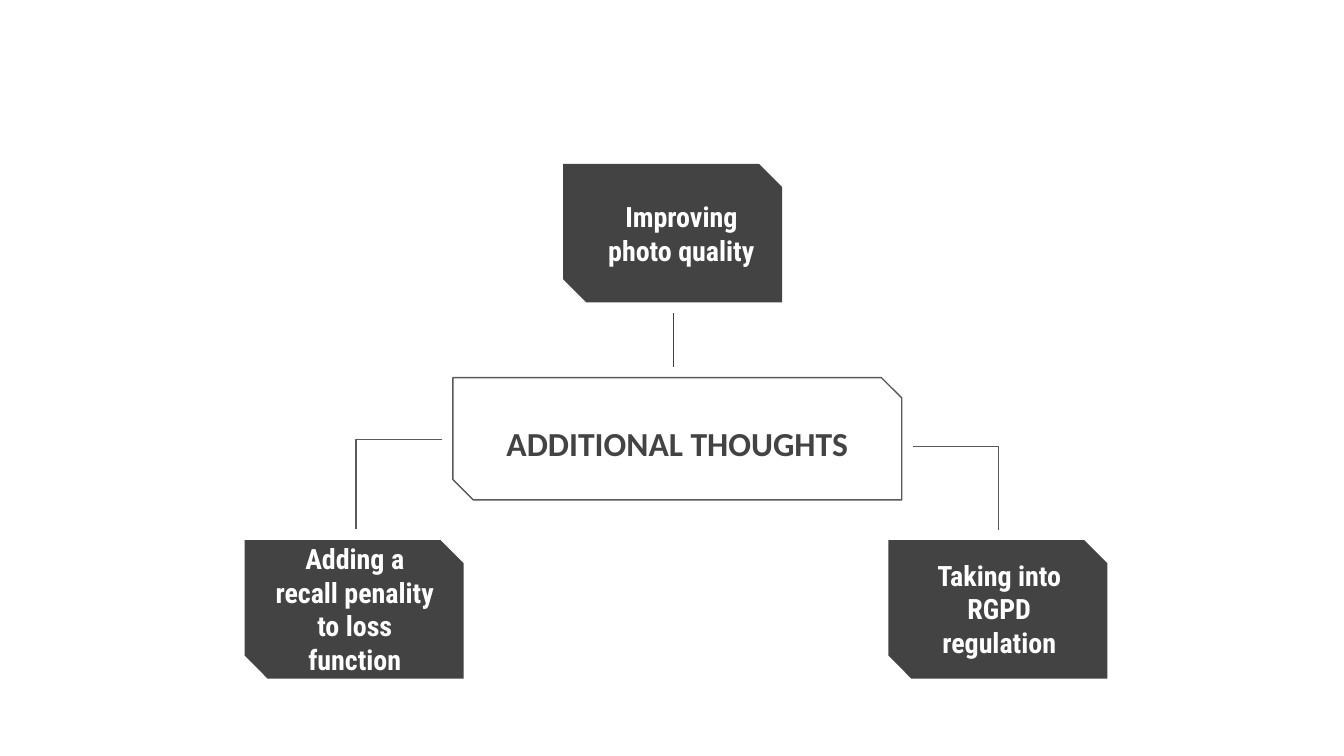
"""Build the additional thoughts slide: a central title with three linked ideas."""
from dataclasses import dataclass

from lxml import etree
from pptx import Presentation
from pptx.dml.color import RGBColor
from pptx.enum.shapes import MSO_CONNECTOR, MSO_SHAPE
from pptx.enum.text import MSO_ANCHOR, MSO_AUTO_SIZE, PP_ALIGN
from pptx.oxml.ns import qn
from pptx.util import Inches, Pt

SNIP = MSO_SHAPE.SNIP_2_DIAG_RECTANGLE
STRAIGHT, ELBOW = MSO_CONNECTOR.STRAIGHT, MSO_CONNECTOR.ELBOW
MIDDLE, BOTTOM = MSO_ANCHOR.MIDDLE, MSO_ANCHOR.BOTTOM
NO_FIT, CENTER = MSO_AUTO_SIZE.NONE, PP_ALIGN.CENTER

DARK, GRAY, WHITE = "434343", "595959", "FFFFFF"
CARD_W, CARD_H = 1.63, 1.03
Box = tuple[float, float, float, float]


@dataclass
class Idea:
    """A dark card with its text area."""
    text: str
    left: float
    top: float
    text_box: Box


@dataclass
class Link:
    """A line from the title frame to a card."""
    kind: int
    start: tuple[float, float]
    end: tuple[float, float]
    color: str


IDEAS = [
    Idea("Adding a recall penality to loss function", 1.82, 4.02, (1.92, 4.08, 1.44, 0.9)),
    Idea("Taking into RGPD regulation", 6.61, 4.02, (6.73, 4.08, 1.41, 0.9)),
    Idea("Improving photo quality", 4.19, 1.22, (4.32, 1.31, 1.5, 0.85)),
]
LINKS = [
    Link(STRAIGHT, (5.01, 2.33), (5.01, 2.73), DARK),
    Link(ELBOW, (3.29, 3.27), (2.65, 3.94), GRAY),
    Link(ELBOW, (6.79, 3.32), (7.43, 3.94), GRAY),
]


def rgb(color: str) -> RGBColor:
    """Turn a hex string into a colour."""
    return RGBColor.from_string(color)


def add_snip(s, box: Box, fill: str | None, line: str | None) -> None:
    """Draw a rectangle with two opposite corners cut."""
    sp = s.shapes.add_shape(SNIP, *map(Inches, box))
    sp.shadow.inherit = False
    sp.adjustments[0], sp.adjustments[1] = 0, 0.167
    if fill:
        sp.fill.solid()
        sp.fill.fore_color.rgb = rgb(fill)
    else:
        sp.fill.background()
    if line:
        sp.line.color.rgb = rgb(line)
        sp.line.width = Pt(0.75)
    else:
        sp.line.fill.background()


def write(sp, text: str, font: str, size: int, color: str, anchor: MSO_ANCHOR) -> None:
    """Put one centred bold run into a shape."""
    tf = sp.text_frame
    tf.word_wrap = True
    tf.auto_size = NO_FIT
    tf.vertical_anchor = anchor
    tf.margin_left = tf.margin_right = tf.margin_top = tf.margin_bottom = Inches(0.1)
    p = tf.paragraphs[0]
    p.alignment = CENTER
    r = p.add_run()
    r.text = text
    r.font.name = font
    r.font.size = Pt(size)
    r.font.bold = True
    r.font.color.rgb = rgb(color)


def add_idea(s, idea: Idea) -> None:
    """Draw a card and its text."""
    add_snip(s, (idea.left, idea.top, CARD_W, CARD_H), DARK, None)
    sp = s.shapes.add_textbox(*map(Inches, idea.text_box))
    write(sp, idea.text, "Roboto Condensed", 15, WHITE, MIDDLE)


def add_link(s, link: Link) -> None:
    """Draw a line, with an elbow's corner right above its end."""
    cxn = s.shapes.add_connector(link.kind, *map(Inches, link.start + link.end))
    cxn.line.color.rgb = rgb(link.color)
    cxn.line.width = Pt(0.75)
    sp_pr = cxn._element.spPr
    etree.SubElement(sp_pr, qn("a:effectLst"))
    if link.kind == ELBOW:
        geom = sp_pr.find(qn("a:prstGeom"))
        guides = geom.find(qn("a:avLst"))
        if guides is None:
            guides = etree.SubElement(geom, qn("a:avLst"))
        etree.SubElement(guides, qn("a:gd"), name="adj1", fmla="val 100000")


def place_title(s) -> None:
    """Move the title into the central frame."""
    sp = s.shapes.title
    sp.left, sp.top, sp.width, sp.height = map(Inches, (3.37, 3.12, 3.34, 0.43))
    write(sp, "ADDITIONAL THOUGHTS", "Calibri", 18, DARK, BOTTOM)


def main() -> None:
    """Build and save the slide."""
    prs = Presentation()
    prs.slide_width = Inches(10)
    prs.slide_height = prs.slide_width * 9 // 16
    s = prs.slides.add_slide(prs.slide_layouts[5])
    add_snip(s, (3.37, 2.81, 3.34, 0.91), None, GRAY)
    place_title(s)
    for idea in IDEAS:
        add_idea(s, idea)
    for link in LINKS:
        add_link(s, link)
    prs.save("out.pptx")


if __name__ == "__main__":
    main()
